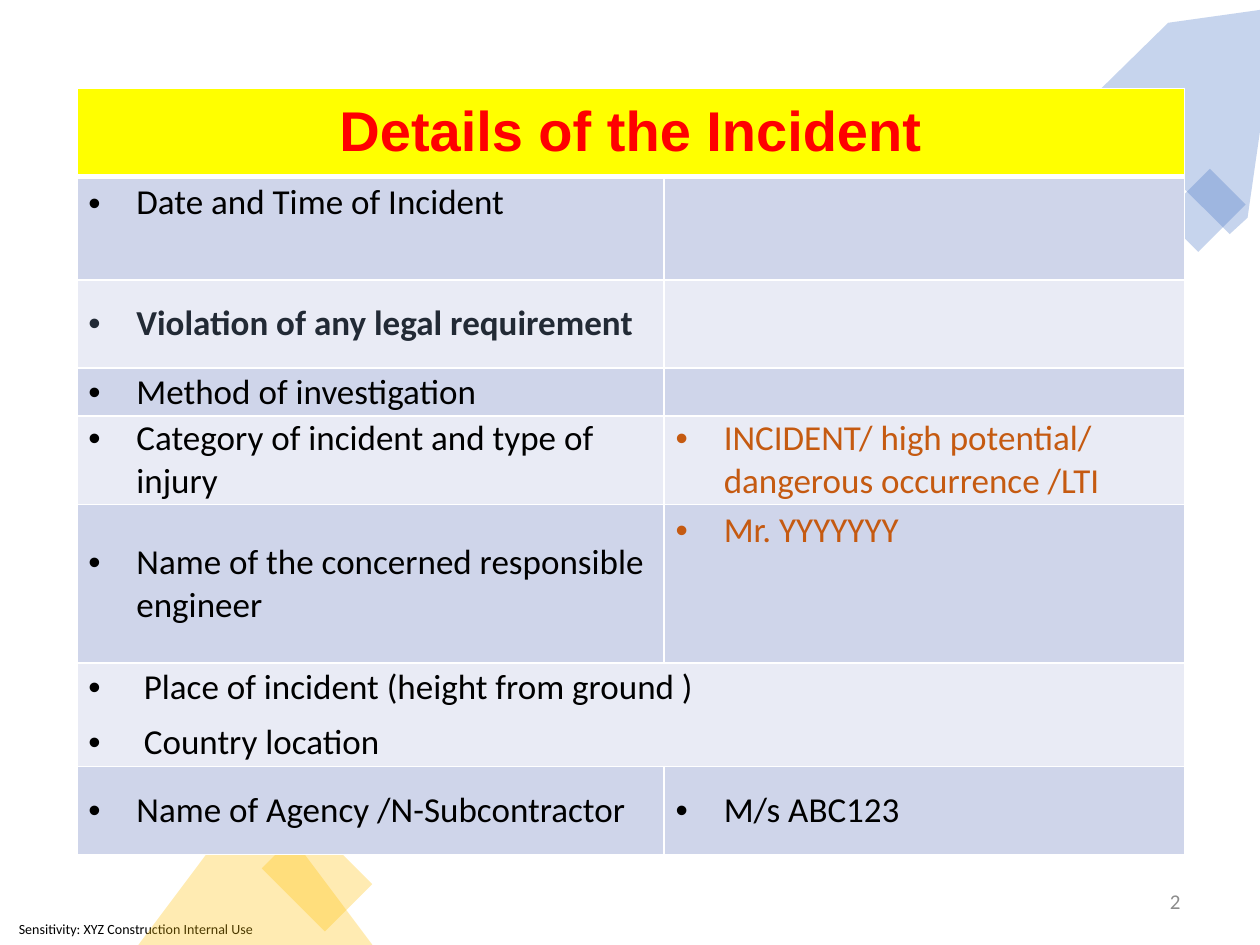
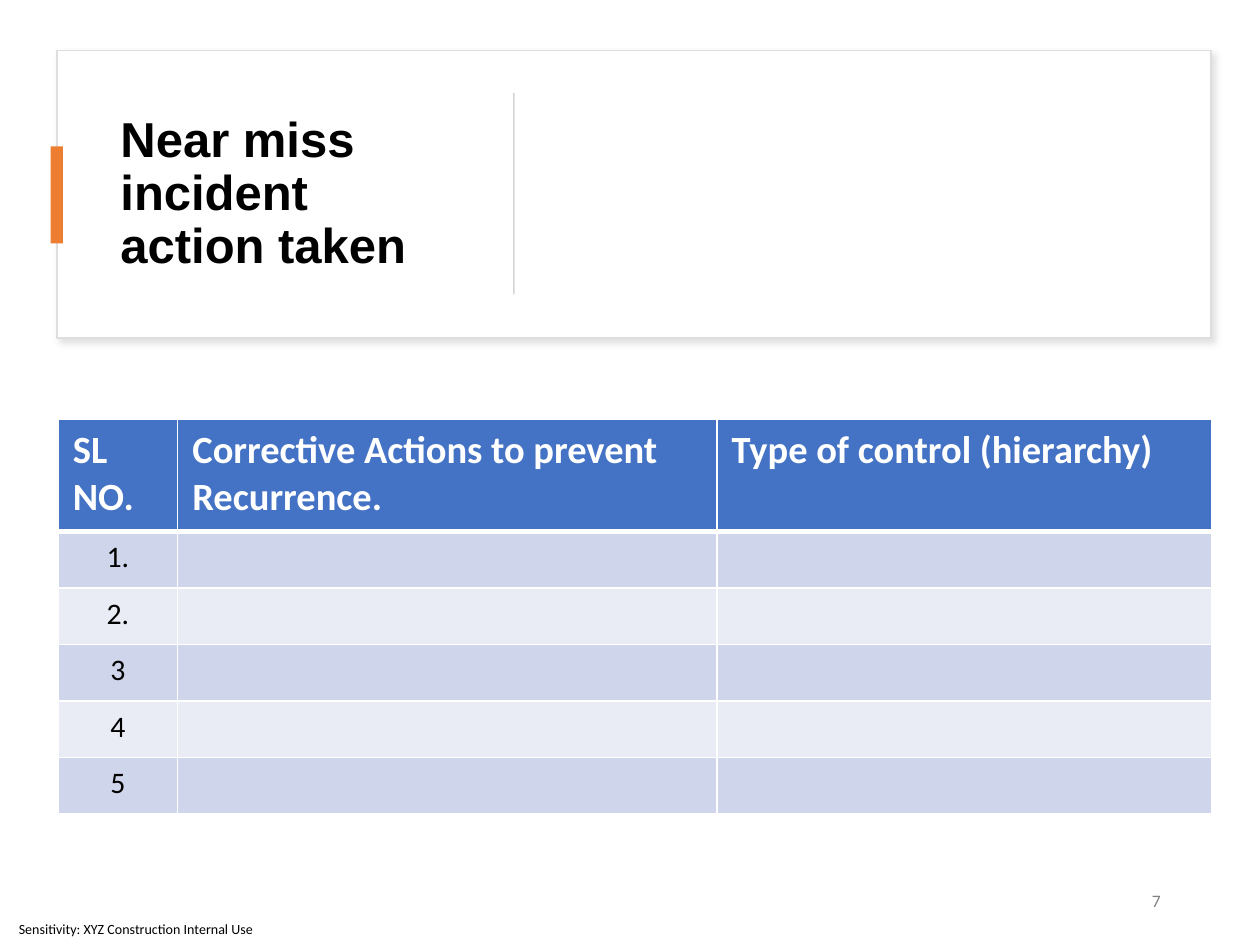
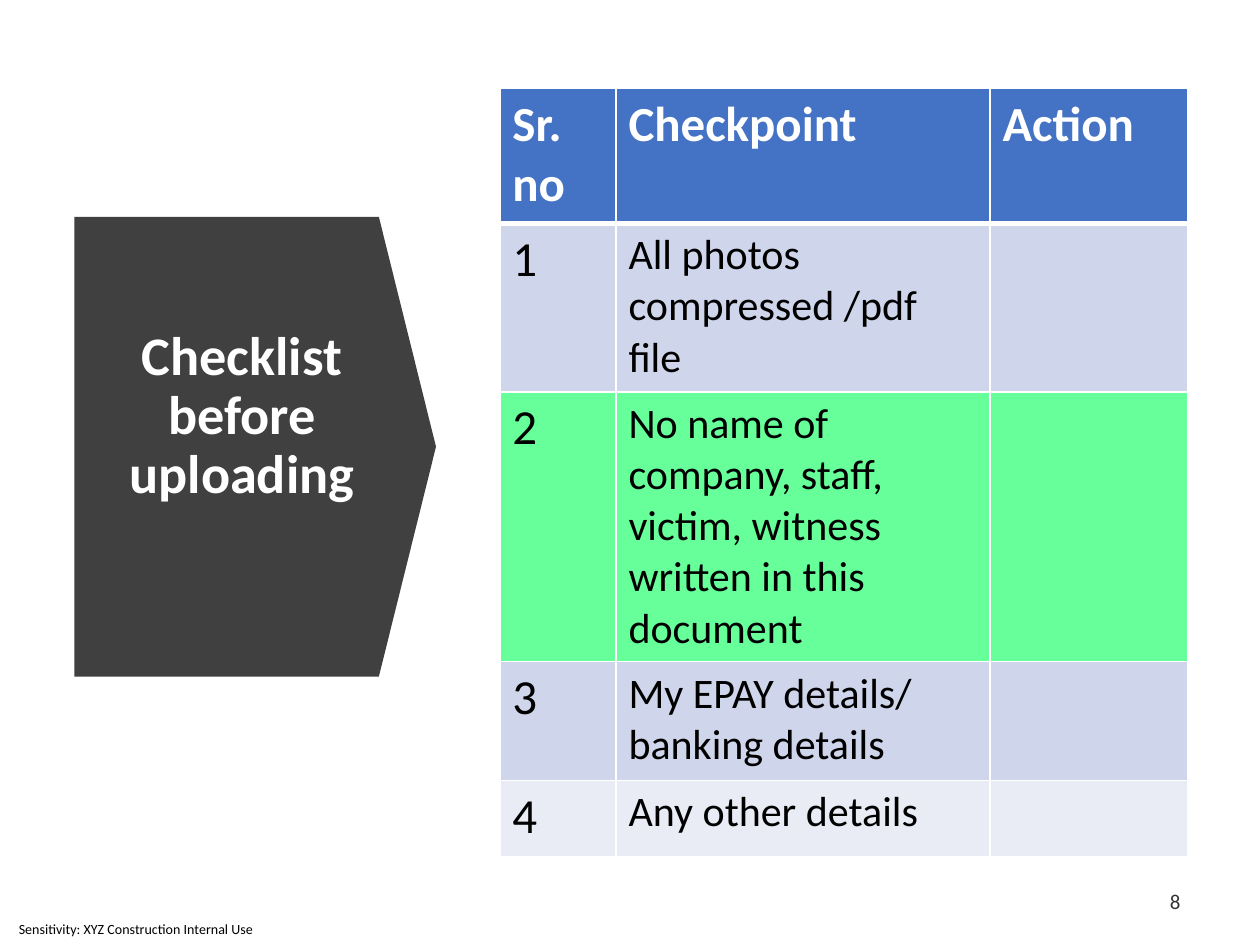
"""Build three slides of an incident report: details, actions and checklist."""
from lxml.etree import SubElement
from pptx import Presentation
from pptx.dml.color import RGBColor as Rgb
from pptx.enum.shapes import MSO_SHAPE as Kind
from pptx.enum.text import MSO_ANCHOR as Anchor, PP_ALIGN as Align
from pptx.oxml.ns import qn
from pptx.util import Cm, Pt

HUES = {
    "black": "000000", "white": "FFFFFF", "blue": "4472C4", "gold": "FFC000",
    "orange": "ED7D31", "rust": "C55A11", "navy": "222A35", "red": "FF0000",
    "yellow": "FFFF00", "green": "66FF99", "dark": "CFD5EA", "light": "E9EBF5",
    "slate": "404040", "frame": "DEDEDE", "rule": "D5D5D5", "shade": "C5C3C3",
    "pale": "8C8C8C", "grey": "808080", "ink": "333333",
}


class Deck:
    """Hold the shared style and the current slide."""

    def __init__(self):
        """Start an empty deck of 4:3 slides."""
        self.show = Presentation()
        self.show.slide_width, self.show.slide_height = Cm(25.4), Cm(19.05)
        self.slide = None

    def page(self):
        """Add a blank slide with the sensitivity footer."""
        self.slide = self.show.slides.add_slide(self.show.slide_layouts[6])
        self.label("Sensitivity: XYZ Construction Internal Use",
                   (0, 18.42, 5.51, 0.63), 8, pad=(0.38, 0, 0, 0))

    def hue(self, name):
        """Give the colour of a name."""
        return Rgb.from_string(HUES[name])

    def say(self, frame, text, size, hue="black", bold=False, font="Calibri",
            align=Align.LEFT, lead=None):
        """Write text in a frame and format each run."""
        frame.text = text
        for par in frame.paragraphs:
            par.alignment = align
            par.line_spacing = lead
            for run in par.runs:
                run.font.name, run.font.size = font, Pt(size)
                run.font.bold = bold
                run.font.color.rgb = self.hue(hue)

    def label(self, text, box, size, hue="black", pad=(0.25, 0.13, 0.25, 0.13), **look):
        """Add a wrapped text box, centred vertically."""
        frame = self.slide.shapes.add_textbox(*map(Cm, box)).text_frame
        frame.word_wrap = True
        frame.vertical_anchor = Anchor.MIDDLE
        (frame.margin_left, frame.margin_top,
         frame.margin_right, frame.margin_bottom) = map(Cm, pad)
        self.say(frame, text, size, hue, **look)

    def number(self, text, right, size, hue):
        """Add the slide number, set against a right edge."""
        self.label(text, (right - 5.72, 17.65, 5.72, 1.02), size, hue, align=Align.RIGHT)

    def paint(self, shape, hue, alpha=None):
        """Give a shape a flat fill with no line or shadow."""
        shape.shadow.inherit = False
        shape.fill.solid()
        shape.fill.fore_color.rgb = self.hue(hue)
        shape.line.fill.background()
        if alpha:
            tint = shape.element.spPr.find(".//" + qn("a:srgbClr"))
            SubElement(tint, qn("a:alpha"), val=str(alpha * 1000))
        return shape

    def block(self, kind, box, hue, turn=0, alpha=None):
        """Add a preset shape."""
        shape = self.slide.shapes.add_shape(kind, *map(Cm, box))
        shape.rotation = turn
        return self.paint(shape, hue, alpha)

    def outline(self, spots, hue, alpha=None):
        """Add a closed polygon."""
        spots = [(Cm(x), Cm(y)) for x, y in spots]
        pen = self.slide.shapes.build_freeform(*spots[0])
        pen.add_line_segments(spots[1:], close=True)
        return self.paint(pen.convert_to_shape(), hue, alpha)

    def panel(self, box):
        """Add a white framed card with a soft shadow."""
        card = self.block(Kind.RECTANGLE, box, "white")
        card.line.color.rgb = self.hue("frame")
        card.line.width = Pt(1)
        glow = SubElement(card.element.spPr.find(qn("a:effectLst")), qn("a:outerShdw"),
                          blurRad=str(Pt(4)), dist=str(Pt(3)), dir="2700000",
                          algn="tl", rotWithShape="0")
        tint = SubElement(glow, qn("a:srgbClr"), val=HUES["shade"])
        SubElement(tint, qn("a:alpha"), val="50000")

    def border(self, cell, row):
        """Draw white cell borders, thick under the header row."""
        wide = {"lnT": row == 1, "lnB": row == 0}
        for side in ("lnL", "lnR", "lnT", "lnB"):
            line = SubElement(cell._tc.get_or_add_tcPr(), qn("a:" + side),
                              w=str(Pt(3 if wide.get(side) else 1)))
            fill = SubElement(line, qn("a:solidFill"))
            SubElement(fill, qn("a:srgbClr"), val=HUES["white"])

    def grid(self, left, top, cols, rows, pad, tones=None):
        """Add a banded table; tones override the fill of a row."""
        tones = {0: "blue"} | (tones or {})
        size = map(Cm, (left, top, sum(cols), sum(rows)))
        table = self.slide.shapes.add_table(len(rows), len(cols), *size).table
        table.first_row = table.horz_banding = False
        for col, width in zip(table.columns, cols):
            col.width = Cm(width)
        for i, (row, height) in enumerate(zip(table.rows, rows)):
            row.height = Cm(height)
            for cell in row.cells:
                self.border(cell, i)
                cell.fill.solid()
                cell.fill.fore_color.rgb = self.hue(
                    tones.get(i, "dark" if i % 2 else "light"))
                cell.margin_left = cell.margin_right = Cm(pad[0])
                cell.margin_top = cell.margin_bottom = Cm(pad[1])
        return table

    def head(self, table, names, size):
        """Fill the header row of a table."""
        for cell, name in zip(table.rows[0].cells, names):
            self.say(cell.text_frame, name, size, "white", True)

    def points(self, cell, text, hue="black", bold=False, hang=0.97, anchor=Anchor.MIDDLE):
        """Fill a cell with bulleted paragraphs."""
        self.say(cell.text_frame, text, 20, hue, bold)
        cell.vertical_anchor = anchor
        for i, par in enumerate(cell.text_frame.paragraphs):
            par.space_before = Pt(7 if i else 0)
            props = par._p.get_or_add_pPr()
            props.set("marL", str(Cm(hang)))
            props.set("indent", str(-Cm(hang)))
            SubElement(props, qn("a:buFont"), typeface="Arial")
            SubElement(props, qn("a:buChar"), char="•")


def details(deck):
    """Build the slide with the details of the incident."""
    deck.page()
    deck.outline([(25.76, 0.15), (23.55, 0.46), (22.02, 1.96), (24.79, 4.72),
                  (25.15, 4.39)], "blue", 30)
    deck.block(Kind.RECTANGLE, (23.6, 3.73, 1.35, 1.02), "blue", 315, 30)
    deck.block(Kind.RECTANGLE, (5.49, 16.99, 1.8, 1.35), "gold", 45, 30)
    deck.block(Kind.ISOSCELES_TRIANGLE, (2.79, 15.9, 4.72, 3.15), "gold", alpha=30)
    deck.number("2", 24.05, 12, "pale")
    table = deck.grid(1.55, 1.78, (11.84, 10.49),
                      (1.78, 2.08, 1.78, 0.97, 1.78, 3.2, 2.08, 1.78),
                      (0.23, 0), {0: "yellow"})
    for i in (0, 6):
        table.cell(i, 0).merge(table.cell(i, 1))
    title = table.cell(0, 0)
    title.vertical_anchor = Anchor.MIDDLE
    deck.say(title.text_frame, "Details of the Incident", 32, "red", True,
             "Arial", Align.CENTER)
    items = [
        ("Date and Time of Incident", {"anchor": Anchor.TOP}),
        ("Violation of any legal requirement", {"hue": "navy", "bold": True}),
        ("Method of investigation", {}),
        ("Category of incident and type of injury", {}),
        ("Name of the concerned responsible engineer", {}),
        ("Place of incident (height from ground )\nCountry location", {"hang": 1.12}),
        ("Name of Agency /N-Subcontractor", {}),
    ]
    for i, (text, look) in enumerate(items, 1):
        deck.points(table.cell(i, 0), text, **look)
    deck.points(table.cell(4, 1), "INCIDENT/ high potential/ dangerous occurrence /LTI", "rust")
    name = table.cell(5, 1)
    deck.points(name, "Mr. YYYYYYY", "rust", anchor=Anchor.TOP)
    for cell in (table.cell(1, 0), name):
        cell.margin_top = Cm(0.1)
    deck.points(table.cell(7, 1), "M/s ABC123")


def actions(deck):
    """Build the slide with the corrective actions."""
    deck.page()
    deck.panel((1.15, 1.02, 23.27, 5.79))
    deck.label("Near miss incident action taken", (2.18, 1.63, 7.42, 4.57), 28,
               bold=True, font="Arial", lead=0.9)
    deck.block(Kind.RECTANGLE, (1.02, 2.95, 0.25, 1.96), "orange")
    deck.block(Kind.RECTANGLE, (8.33, 3.89, 4.06, 0.03), "rule", 90)
    deck.number("7", 23.65, 10, "grey")
    table = deck.grid(1.17, 8.46, (2.41, 10.87, 9.98), [2.26] + [1.14] * 5, (0.3, 0.15))
    deck.head(table, ("SL NO.", "Corrective Actions to prevent Recurrence.",
                      "Type of control (hierarchy)"), 22)
    for i, text in enumerate(("1.", "2.", "3", "4", "5"), 1):
        deck.say(table.cell(i, 0).text_frame, text, 17, align=Align.CENTER)


def checks(deck):
    """Build the slide with the checklist."""
    deck.page()
    arrow = deck.block(Kind.DOWN_ARROW, (0.51, 5.36, 9.27, 7.29), "slate", 270)
    arrow.adjustments[0], arrow.adjustments[1] = 1, 0.158
    deck.label("Checklist before uploading", (2.13, 5.46, 5.49, 7.09), 31, "white",
               pad=(0.25, 0.13, 0.25, 1.33), bold=True, align=Align.CENTER, lead=0.9)
    deck.number("8", 24.05, 12, "ink")
    table = deck.grid(10.08, 1.78, (2.34, 7.54, 3.99), (2.72, 3.4, 5.44, 2.39, 1.55),
                      (0.25, 0.13), {2: "green"})
    deck.head(table, ("Sr. no", "Checkpoint", "Action"), 28)
    items = ("All photos compressed /pdf file",
             "No name of company, staff, victim, witness written in this document",
             "My EPAY details/ banking details", "Any other details")
    for i, text in enumerate(items, 1):
        deck.say(table.cell(i, 0).text_frame, str(i), 28)
        deck.say(table.cell(i, 1).text_frame, text, 24)


deck = Deck()
for build in (details, actions, checks):
    build(deck)
deck.show.save("out.pptx")
